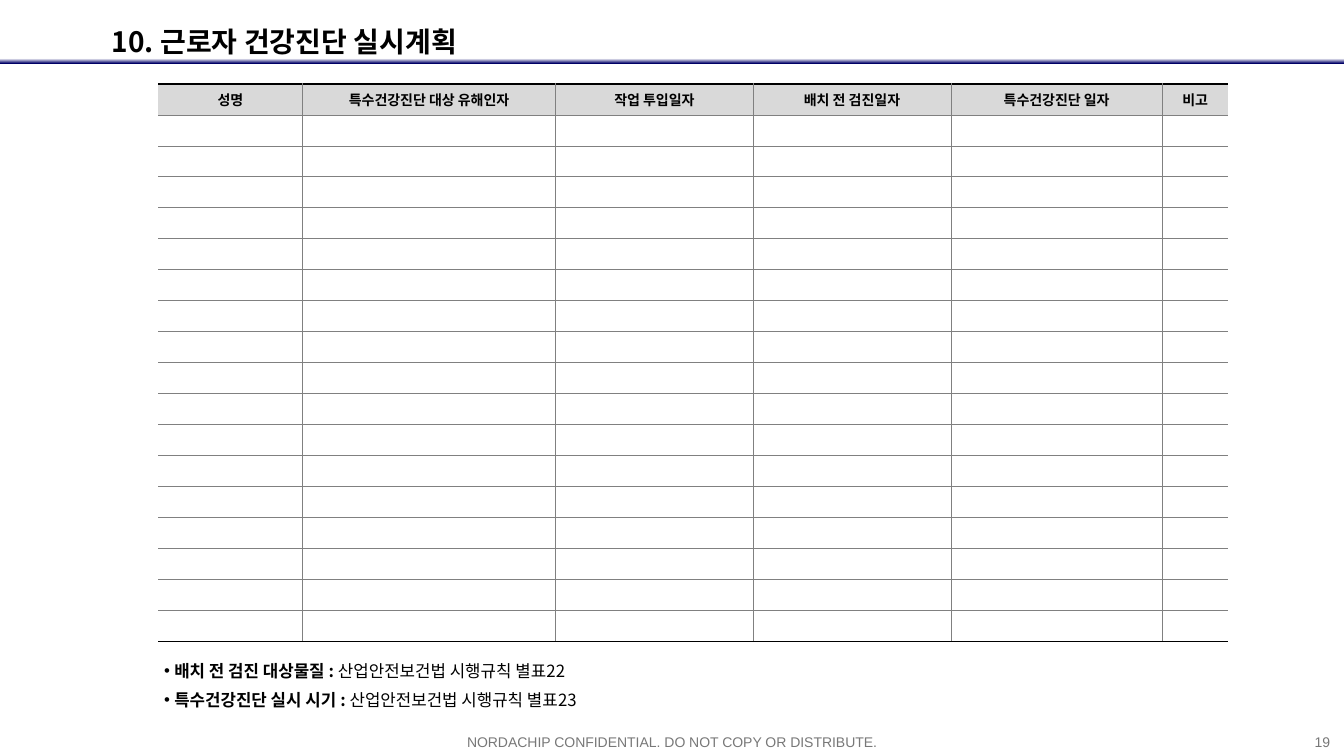
from dataclasses import dataclass

import lxml.etree
import pptx
import pptx.dml.color
import pptx.enum.shapes
import pptx.enum.text
import pptx.oxml.ns
import pptx.util

Inches = pptx.util.Inches
Pt = pptx.util.Pt
Align = pptx.enum.text.PP_ALIGN
Anchor = pptx.enum.text.MSO_ANCHOR
qn = pptx.oxml.ns.qn

KOREAN = "Noto Sans CJK KR"
LATIN = "Arial"
BLACK, GRAY, HEADER_FILL, FOOTER_GRAY = "000000", "808080", "D9D9D9", "787878"


@dataclass(frozen=True)
class TextStyle:
    size: float
    font: str = KOREAN
    color: str = BLACK
    bold: bool = False


@dataclass(frozen=True)
class Box:
    left: float
    top: float
    width: float
    height: float

    def lengths(self) -> list[int]:
        return [Inches(v) for v in (self.left, self.top, self.width, self.height)]


@dataclass(frozen=True)
class Column:
    heading: str
    width: float


@dataclass(frozen=True)
class Note:
    label: str
    reference: str


COLUMNS = [
    Column("성명", 1.43),
    Column("특수건강진단 대상 유해인자", 2.51),
    Column("작업 투입일자", 1.96),
    Column("배치 전 검진일자", 1.96),
    Column("특수건강진단 일자", 2.1),
    Column("비고", 0.65),
]
ROW_COUNT = 18
TABLE_BOX = Box(1.57, 0.83, 10.61, 5.54)
NOTES = [
    Note("배치 전 검진 대상물질 : ", "산업안전보건법 시행규칙 별표22"),
    Note("특수건강진단 실시 시기 : ", "산업안전보건법 시행규칙 별표23"),
]


def rgb(value: str) -> pptx.dml.color.RGBColor:
    return pptx.dml.color.RGBColor.from_string(value)


def add_run(paragraph, text: str, style: TextStyle) -> None:
    run = paragraph.add_run()
    run.text = text
    font = run.font
    font.size, font.bold, font.name = Pt(style.size), style.bold, style.font
    font.color.rgb = rgb(style.color)
    east_asian = lxml.etree.SubElement(font._element, qn("a:ea"))
    east_asian.set("typeface", style.font)


def add_text_frame(slide, box: Box, wrap: bool = True):
    frame = slide.shapes.add_textbox(*box.lengths()).text_frame
    frame.word_wrap = wrap
    return frame


def add_line_of_text(slide, box: Box, text: str, style: TextStyle,
                     alignment: Align, wrap: bool = True):
    frame = add_text_frame(slide, box, wrap)
    paragraph = frame.paragraphs[0]
    paragraph.alignment = alignment
    add_run(paragraph, text, style)
    return frame


def add_bullet(paragraph) -> None:
    properties = paragraph._p.get_or_add_pPr()
    indent = Inches(0.1)
    properties.set("marL", str(indent))
    properties.set("indent", str(-indent))
    lxml.etree.SubElement(properties, qn("a:buFont")).set("typeface", LATIN)
    lxml.etree.SubElement(properties, qn("a:buChar")).set("char", "•")


def set_border(cell, side: str, color: str | None, width: float) -> None:
    line = lxml.etree.SubElement(cell._tc.get_or_add_tcPr(), qn(f"a:ln{side}"))
    line.set("w", str(Pt(width)))
    if color is None:
        lxml.etree.SubElement(line, qn("a:noFill"))
        return
    fill = lxml.etree.SubElement(line, qn("a:solidFill"))
    lxml.etree.SubElement(fill, qn("a:srgbClr")).set("val", color)


def format_cell(cell, row: int, column: int) -> None:
    cell.margin_left = cell.margin_right = Inches(0.06)
    cell.margin_top = cell.margin_bottom = Inches(0.05)
    cell.vertical_anchor = Anchor.MIDDLE

    # Open sides, heavy top and bottom, hairlines inside
    inner, heavy, none = (GRAY, 0.25), (BLACK, 1.5), (None, 0)
    set_border(cell, "L", *(none if column == 0 else inner))
    set_border(cell, "R", *(none if column == len(COLUMNS) - 1 else inner))
    set_border(cell, "T", *(heavy if row == 0 else inner))
    set_border(cell, "B", *(heavy if row == ROW_COUNT - 1 else inner))

    paragraph = cell.text_frame.paragraphs[0]
    paragraph.alignment = Align.CENTER
    if row == 0:
        cell.fill.solid()
        cell.fill.fore_color.rgb = rgb(HEADER_FILL)
        add_run(paragraph, COLUMNS[column].heading, TextStyle(10, bold=True))
    else:
        cell.fill.background()
        # Small type in empty cells keeps the rows at their set height
        end = lxml.etree.SubElement(paragraph._p, qn("a:endParaRPr"))
        end.set("sz", "1000")


def add_title_rule(slide) -> None:
    rule = slide.shapes.add_shape(pptx.enum.shapes.MSO_SHAPE.RECTANGLE,
                                  *Box(0, 0.58, 13.33, 0.05).lengths())
    rule.shadow.inherit = False
    rule.line.fill.background()
    rule.fill.gradient()
    rule.fill.gradient_angle = 270
    for stop, color, position in zip(rule.fill.gradient_stops, ("FFFFFF", "000066"), (0, 1)):
        stop.color.rgb = rgb(color)
        stop.position = position


def add_checkup_table(slide) -> None:
    table = slide.shapes.add_table(ROW_COUNT, len(COLUMNS), *TABLE_BOX.lengths()).table
    table.first_row = table.horz_banding = False
    for table_column, column in zip(table.columns, COLUMNS):
        table_column.width = Inches(column.width)
    for row_index, row in enumerate(table.rows):
        row.height = Inches(TABLE_BOX.height / ROW_COUNT)
        for column_index, cell in enumerate(row.cells):
            format_cell(cell, row_index, column_index)


def add_notes(slide) -> None:
    frame = add_text_frame(slide, Box(1.53, 6.47, 8.89, 0.63))
    for index, note in enumerate(NOTES):
        paragraph = frame.add_paragraph() if index else frame.paragraphs[0]
        paragraph.line_spacing = 1.2
        paragraph.space_after = Pt(3)
        add_bullet(paragraph)
        add_run(paragraph, note.label, TextStyle(12, bold=True))
        add_run(paragraph, note.reference, TextStyle(12))


def main() -> None:
    presentation = pptx.Presentation()
    presentation.slide_width, presentation.slide_height = Inches(13.33), Inches(7.5)
    slide = presentation.slides.add_slide(presentation.slide_layouts[6])

    # Title rule and footer
    add_title_rule(slide)
    footer = TextStyle(10, LATIN, FOOTER_GRAY)
    add_line_of_text(slide, Box(4.16, 7.23, 5.01, 0.27),
                     "NORDACHIP CONFIDENTIAL. DO NOT COPY OR DISTRIBUTE.", footer, Align.CENTER)
    add_line_of_text(slide, Box(12.92, 7.23, 0.37, 0.27), "19", footer, Align.RIGHT, wrap=False)

    # Title
    title = add_line_of_text(slide, Box(1.01, 0.03, 3.98, 0.6), "10. 근로자 건강진단 실시계획",
                             TextStyle(20, bold=True), Align.LEFT, wrap=False)
    title.vertical_anchor = Anchor.MIDDLE
    title.paragraphs[0].line_spacing = 1.5

    # Check-up plan and its notes
    add_checkup_table(slide)
    add_notes(slide)
    presentation.save("out.pptx")


if __name__ == "__main__":
    main()
